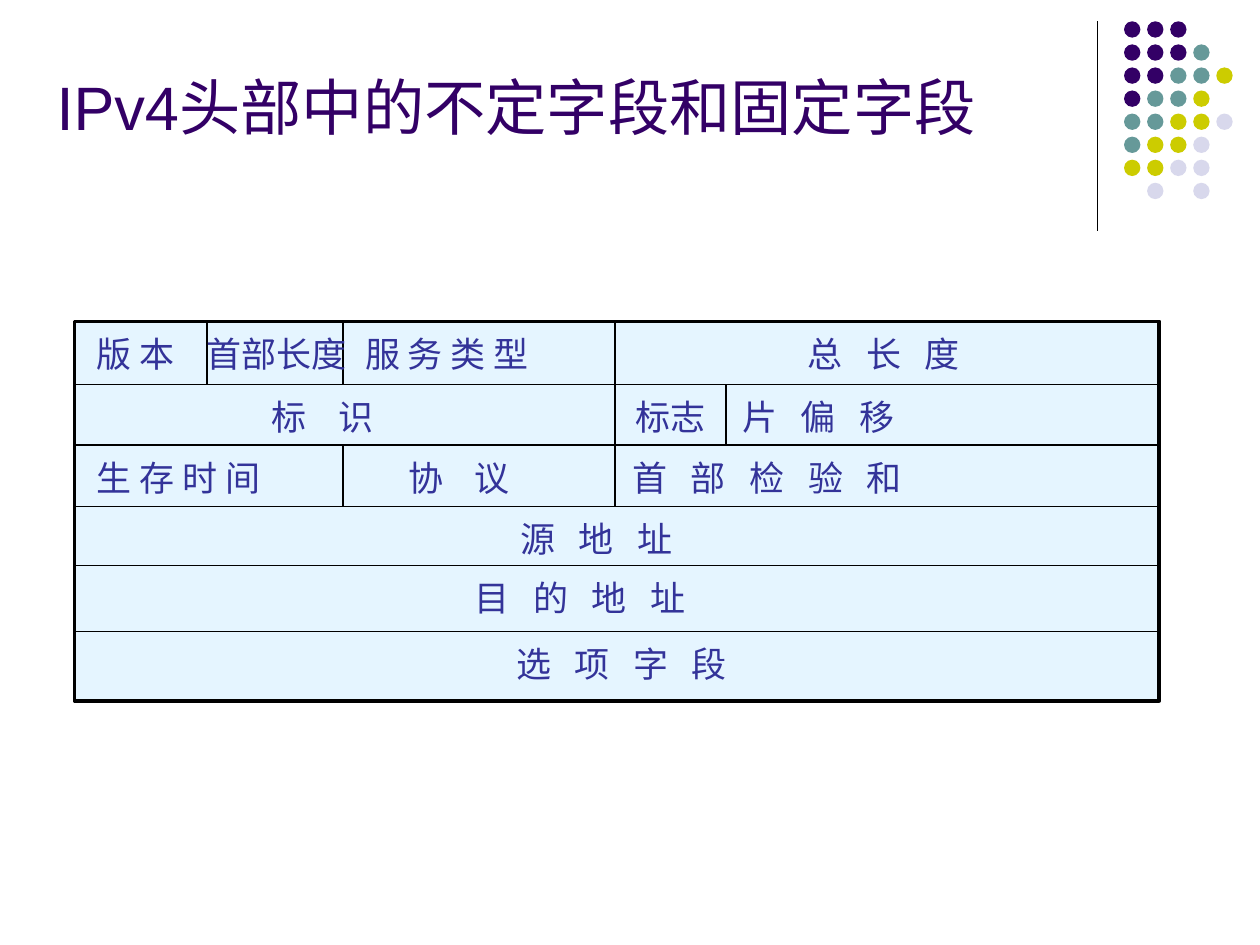
from dataclasses import dataclass

from lxml import etree
from pptx import Presentation
from pptx.dml.color import RGBColor
from pptx.enum.shapes import MSO_CONNECTOR, MSO_SHAPE
from pptx.enum.text import MSO_ANCHOR, MSO_AUTO_SIZE, PP_ALIGN
from pptx.oxml.ns import qn
from pptx.util import Cm, Pt

LEFT, CENTER = PP_ALIGN.LEFT, PP_ALIGN.CENTER
TOP, BOTTOM = MSO_ANCHOR.TOP, MSO_ANCHOR.BOTTOM
NO_FIT = MSO_AUTO_SIZE.NONE
STRAIGHT = MSO_CONNECTOR.STRAIGHT
RECTANGLE, OVAL = MSO_SHAPE.RECTANGLE, MSO_SHAPE.OVAL


@dataclass(frozen=True)
class Theme:
    """Colours, font and type sizes of the slide."""
    font: str = "Arial"
    title_size: float = 35
    field_size: float = 20
    title: str = "330066"
    field: str = "333399"
    header: str = "E5F5FF"
    rule: str = "000000"
    teal: str = "669999"
    lime: str = "CCCC00"
    lilac: str = "D8D8EC"


THEME = Theme()
DOT_COLOURS = {"P": THEME.title, "T": THEME.teal, "Y": THEME.lime, "L": THEME.lilac}
DOT_ROWS = ("PPP", "PPPT", "PPTTY", "PTTY", "TTYYL", "TYYL", "YYLL", " L L")
DOT_LEFT, DOT_TOP, DOT_PITCH, DOT_SIZE = 22.66, 0.43, 0.465, 0.33

HEADER_LEFT, HEADER_RIGHT = 1.5, 23.37
ROW_EDGES = (6.48, 7.75, 8.97, 10.21, 11.4, 12.73, 14.13)
DIVIDERS = ((4.17, 0, 1), (6.91, 0, 1), (6.91, 2, 3), (12.4, 0, 3), (14.63, 1, 2))
LABEL_OFFSET, LABEL_HEIGHT = 0.1, 1.09
MEDIUM, WIDE = 4.48, 6.72

FIELDS = (
    (0, "版 本", 1.7, 2.26, 0, LEFT),
    (0, "首部长度", 3.91, 3.33, 0, LEFT),
    (0, "服 务 类 型", 7.11, 5.21, 0, LEFT),
    (0, "总 长 度", 16.03, 4.75, MEDIUM, LEFT),
    (1, "标 识", 5.23, 3.33, WIDE, LEFT),
    (1, "标志", 12.57, 1.93, 0, LEFT),
    (1, "片 偏 移", 14.71, 8.41, MEDIUM, LEFT),
    (2, "生 存 时 间", 1.7, 5.21, 0, LEFT),
    (2, "协 议", 7.98, 3.33, WIDE, LEFT),
    (2, "首 部 检 验 和", 12.5, 10.59, MEDIUM, LEFT),
    (3, "源 地 址", 10.24, 4.75, MEDIUM, LEFT),
    (4, "目 的 地 址", 9.32, 6.5, MEDIUM, LEFT),
    (5, "选 项 字 段", 1.7, 21.41, MEDIUM, CENTER),
)


def apply(target, values):
    """Set each named attribute of the target."""
    for name, value in values.items():
        setattr(target, name, value)


def write_text(frame, text, size, colour, align, anchor, spacing=0):
    """Write one formatted line, with letter spacing in points."""
    apply(frame, {"word_wrap": True, "auto_size": NO_FIT, "vertical_anchor": anchor,
                  "margin_left": Cm(0.25), "margin_right": 0,
                  "margin_top": Cm(0.13), "margin_bottom": Cm(0.13)})
    paragraph = frame.paragraphs[0]
    paragraph.alignment = align
    run = paragraph.add_run()
    run.text = text
    apply(run.font, {"name": THEME.font, "size": Pt(size), "bold": False})
    run.font.color.rgb = RGBColor.from_string(colour)
    if spacing:
        run.font._element.set("spc", str(round(spacing * 100)))


def add_title(slide, text):
    """Place and fill the title placeholder."""
    title = slide.shapes.title
    apply(title, {"left": Cm(0.89), "top": Cm(1.12), "width": Cm(21.44), "height": Cm(1.88)})
    write_text(title.text_frame, text, THEME.title_size, THEME.title, LEFT, BOTTOM)


def add_filled(shapes, kind, left, top, width, height, colour):
    """Add a plain filled shape without an outline."""
    shape = shapes.add_shape(kind, Cm(left), Cm(top), Cm(width), Cm(height))
    shape.shadow.inherit = False
    shape.fill.solid()
    shape.fill.fore_color.rgb = RGBColor.from_string(colour)
    shape.line.fill.background()
    return shape


def add_rule(slide, x1, y1, x2, y2, weight=1):
    """Draw a straight black line."""
    rule = slide.shapes.add_connector(STRAIGHT, Cm(x1), Cm(y1), Cm(x2), Cm(y2))
    rule.line.color.rgb = RGBColor.from_string(THEME.rule)
    rule.line.width = Pt(weight)
    etree.SubElement(rule._element.spPr, qn("a:effectLst"))


def add_dots(slide):
    """Draw the corner pattern of dots as a group."""
    dots = slide.shapes.add_group_shape().shapes
    for row, codes in enumerate(DOT_ROWS):
        for column, code in enumerate(codes):
            if code in DOT_COLOURS:
                add_filled(dots, OVAL, DOT_LEFT + column * DOT_PITCH,
                           DOT_TOP + row * DOT_PITCH, DOT_SIZE, DOT_SIZE, DOT_COLOURS[code])


def add_header_grid(slide):
    """Draw the header frame with its row and field dividers."""
    frame = add_filled(slide.shapes, RECTANGLE, HEADER_LEFT, ROW_EDGES[0],
                       HEADER_RIGHT - HEADER_LEFT, ROW_EDGES[-1] - ROW_EDGES[0], THEME.header)
    frame.line.color.rgb = RGBColor.from_string(THEME.rule)
    frame.line.width = Pt(2)
    for edge in ROW_EDGES[1:-1]:
        add_rule(slide, HEADER_LEFT, edge, HEADER_RIGHT, edge)
    for x, first, last in DIVIDERS:
        add_rule(slide, x, ROW_EDGES[first], x, ROW_EDGES[last])


def add_field(slide, row, text, left, width, spacing, align):
    """Add the label of one header field."""
    label = slide.shapes.add_textbox(Cm(left), Cm(ROW_EDGES[row] + LABEL_OFFSET),
                                     Cm(width), Cm(LABEL_HEIGHT))
    write_text(label.text_frame, text, THEME.field_size, THEME.field, align, TOP, spacing)


def main():
    """Build and save the slide."""
    deck = Presentation()
    apply(deck, {"slide_width": Cm(25.4), "slide_height": Cm(19.05)})
    slide = deck.slides.add_slide(deck.slide_layouts[5])
    add_rule(slide, 22.12, 0.43, 22.12, 4.65, 0.75)
    add_dots(slide)
    add_title(slide, "IPv4头部中的不定字段和固定字段")
    add_header_grid(slide)
    for field in FIELDS:
        add_field(slide, *field)
    deck.save("out.pptx")


if __name__ == "__main__":
    main()
